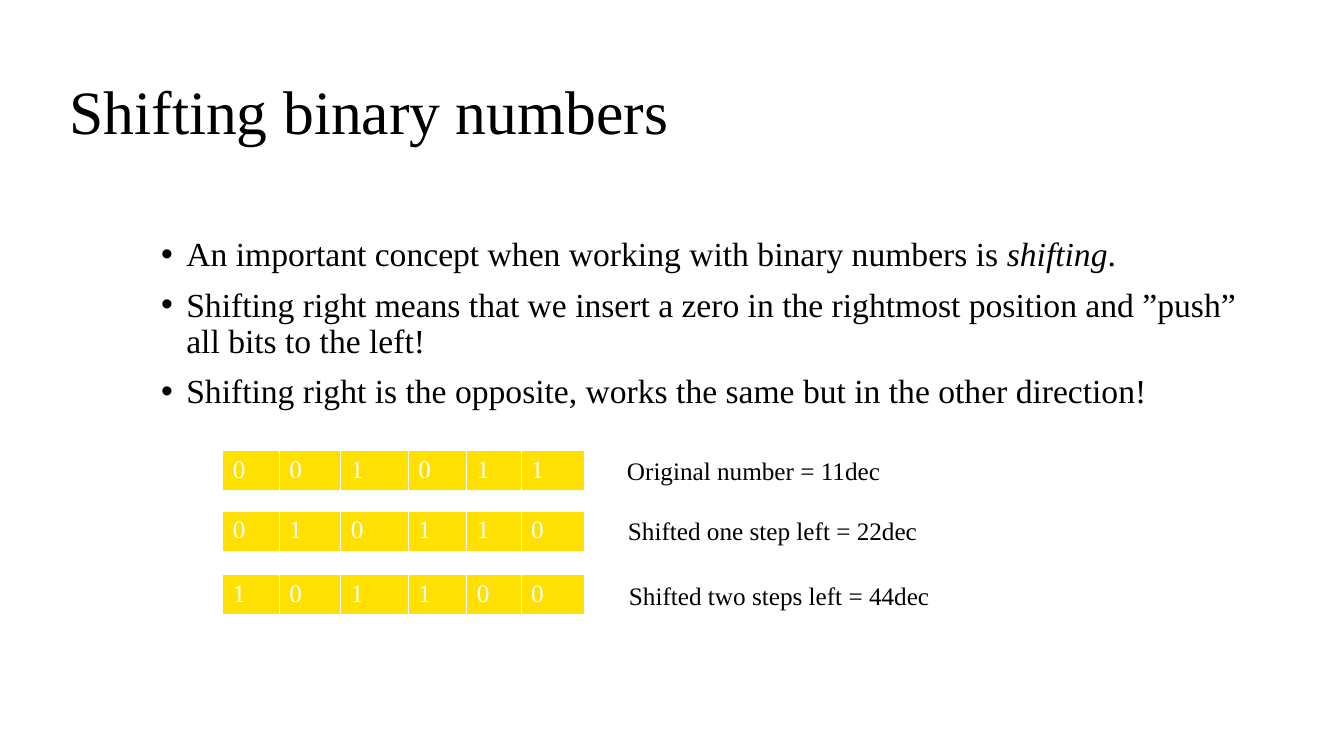
from dataclasses import dataclass

from lxml.etree import SubElement
from pptx import Presentation
from pptx.dml.color import RGBColor
from pptx.enum.text import MSO_ANCHOR as Anchor
from pptx.oxml.ns import qn
from pptx.slide import Slide
from pptx.table import _Cell as Cell
from pptx.text.text import TextFrame, _Paragraph as Paragraph
from pptx.util import Inches, Pt

FONT = "Times New Roman"
BLACK, WHITE, YELLOW = "000000", "FFFFFF", "FFE000"
BIT_WIDTHS = (0.56, 0.61, 0.67, 0.58, 0.54, 0.63)
ROW_HEIGHT = 0.41
BORDERS = {"a:lnL": 1, "a:lnR": 1, "a:lnT": 1, "a:lnB": 3}


@dataclass
class BitRow:
    """A binary number in a table, with its caption to the right."""
    bits: str
    top: float
    caption: str
    caption_left: float
    caption_top: float


BULLETS = (
    (("An important concept when working with binary numbers is ", False),
     ("shifting", True), (".", False)),
    (("Shifting right means that we insert a zero in the rightmost position "
      "and ”push” all bits to the left!", False),),
    (("Shifting right is the opposite, works the same but in the other direction!",
      False),),
)
BIT_ROWS = (
    BitRow("001011", 4.47, "Original number = 11dec", 6.12, 4.47),
    BitRow("010110", 5.07, "Shifted one step left = 22dec", 6.13, 5.06),
    BitRow("101100", 5.7, "Shifted two steps left = 44dec", 6.14, 5.71),
)


def color(value: str) -> RGBColor:
    return RGBColor.from_string(value)


def add_span(para: Paragraph, text: str, size: float, ink: str = BLACK,
             italic: bool = False) -> None:
    span = para.add_run()
    span.text = text
    for name, value in {"name": FONT, "size": Pt(size), "italic": italic}.items():
        setattr(span.font, name, value)
    span.font.color.rgb = color(ink)


def add_box(page: Slide, left: float, top: float, width: float, height: float,
            anchor: Anchor = Anchor.TOP) -> TextFrame:
    box = page.shapes.add_textbox(*map(Inches, (left, top, width, height)))
    frame = box.text_frame
    frame.word_wrap = True
    frame.vertical_anchor = anchor
    return frame


def add_bullet(para: Paragraph) -> None:
    para.line_spacing = 0.9
    para.space_before = Pt(10)
    properties = para._p.get_or_add_pPr()
    properties.set("marL", str(Inches(0.25)))
    properties.set("indent", str(-Inches(0.25)))
    SubElement(properties, qn("a:buFont"), typeface="Arial")
    SubElement(properties, qn("a:buChar"), char="•")


def add_borders(cell: Cell) -> None:
    properties = cell._tc.get_or_add_tcPr()
    for position, (tag, points) in enumerate(BORDERS.items()):
        line = SubElement(properties, qn(tag), w=str(Pt(points)))
        fill = SubElement(line, qn("a:solidFill"))
        SubElement(fill, qn("a:srgbClr"), val=WHITE)
        properties.insert(position, line)


def add_bit_row(page: Slide, row: BitRow) -> None:
    frame = page.shapes.add_table(
        1, len(row.bits),
        *map(Inches, (2.21, row.top, sum(BIT_WIDTHS), ROW_HEIGHT)))
    table = frame.table
    for column, width in zip(table.columns, BIT_WIDTHS):
        column.width = Inches(width)
    for cell, bit in zip(table.rows[0].cells, row.bits):
        cell.fill.solid()
        cell.fill.fore_color.rgb = color(YELLOW)
        add_borders(cell)
        add_span(cell.text_frame.paragraphs[0], bit, 18, WHITE)
    caption = add_box(page, row.caption_left, row.caption_top, 3.7, 0.4)
    add_span(caption.paragraphs[0], row.caption, 18)


def main() -> None:
    deck = Presentation()
    deck.slide_width, deck.slide_height = Inches(13.33), Inches(7.5)
    page = deck.slides.add_slide(deck.slide_layouts[6])

    title = add_box(page, 0.59, 0.39, 12.15, 1.5, Anchor.MIDDLE).paragraphs[0]
    title.line_spacing = 0.9
    add_span(title, "Shifting binary numbers", 44)

    body = add_box(page, 1.5, 2.31, 11.2, 1.96)
    for index, spans in enumerate(BULLETS):
        para = body.add_paragraph() if index else body.paragraphs[0]
        add_bullet(para)
        for text, italic in spans:
            add_span(para, text, 24, italic=italic)

    for row in BIT_ROWS:
        add_bit_row(page, row)
    deck.save("out.pptx")


if __name__ == "__main__":
    main()
